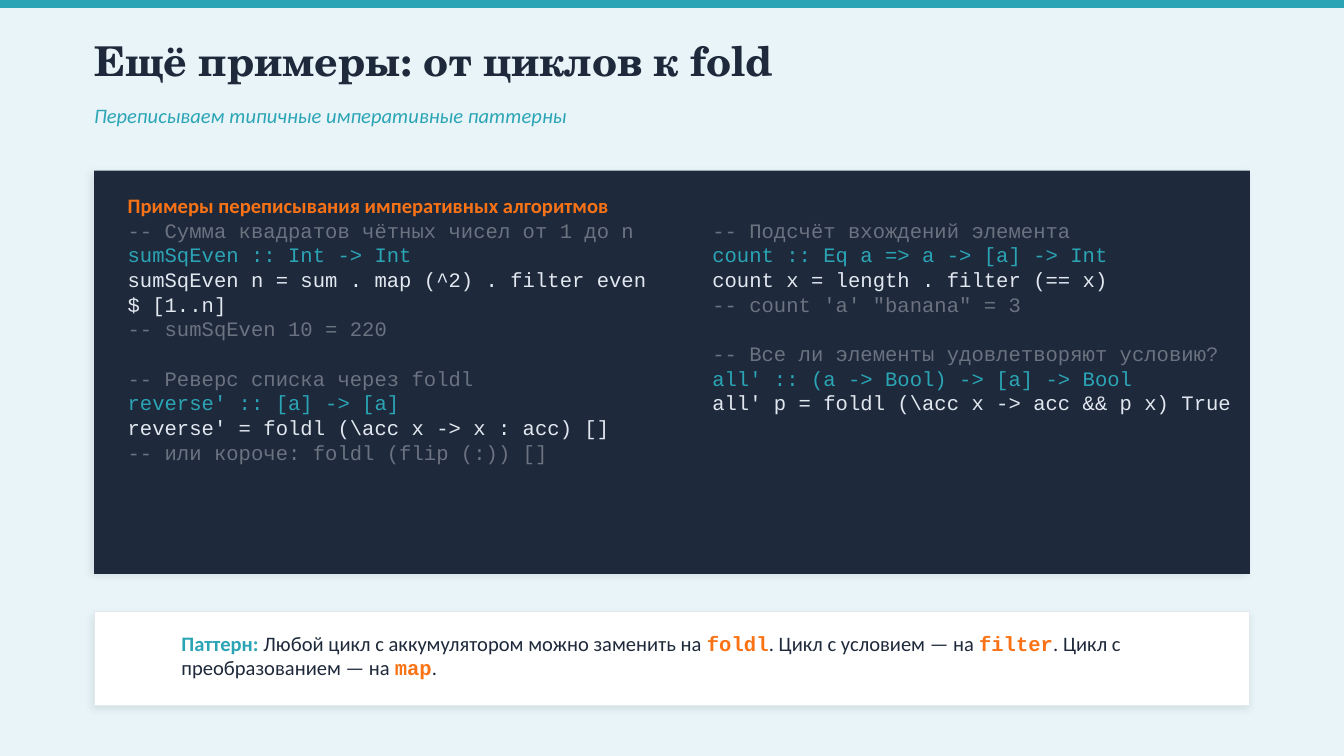
from dataclasses import dataclass

from lxml import etree
from pptx import Presentation
from pptx.dml.color import RGBColor
from pptx.enum import shapes, text
from pptx.oxml import ns
from pptx.util import Inches, Pt

BACKGROUND = RGBColor(0xE8, 0xF4, 0xF8)
TEAL = RGBColor(0x2B, 0xA5, 0xB5)
NAVY = RGBColor(0x1E, 0x29, 0x3B)
ORANGE = RGBColor(0xF9, 0x73, 0x16)
GRAY = RGBColor(0x6B, 0x72, 0x80)
PALE = RGBColor(0xE2, 0xE8, 0xF0)
WHITE = RGBColor(0xFF, 0xFF, 0xFF)

HEADING_FONT, BODY_FONT, CODE_FONT = "TeX Gyre Schola", "Calibri", "Courier New"
SLIDE_WIDTH = Inches(10)
SLIDE_HEIGHT = SLIDE_WIDTH * 9 // 16
MARGIN, CONTENT_WIDTH = 0.7, 8.6
CODE_TOP, CODE_WIDTH, CODE_HEIGHT = 1.62, 3.87, 2.55
BLOCK_GAP = Pt(13.2)


@dataclass(frozen=True)
class Box:
    left: float
    top: float
    width: float
    height: float

    def lengths(self) -> tuple:
        return tuple(Inches(n) for n in (self.left, self.top, self.width, self.height))


@dataclass(frozen=True)
class Style:
    color: RGBColor
    name: str = BODY_FONT
    size: float = 11
    bold: bool = False
    italic: bool = False


@dataclass(frozen=True)
class Span:
    content: str
    style: Style


@dataclass(frozen=True)
class CodeColumn:
    left: float
    blocks: tuple[tuple[str, ...], ...]


LABEL = Style(TEAL, bold=True)
BODY = Style(NAVY)
KEYWORD = Style(ORANGE, CODE_FONT, bold=True)

HEADINGS = (
    (Box(MARGIN, 0.2, CONTENT_WIDTH, 0.5),
     Span("Ещё примеры: от циклов к fold", Style(NAVY, HEADING_FONT, 22, bold=True))),
    (Box(MARGIN, 0.72, CONTENT_WIDTH, 0.28),
     Span("Переписываем типичные императивные паттерны", Style(TEAL, italic=True))),
)
CODE_TITLE = Span("Примеры переписывания императивных алгоритмов", Style(ORANGE, bold=True))
CODE_COLUMNS = (
    CodeColumn(0.95, (
        ("-- Сумма квадратов чётных чисел от 1 до n",
         "sumSqEven :: Int -> Int",
         "sumSqEven n = sum . map (^2) . filter even $ [1..n]",
         "-- sumSqEven 10 = 220"),
        ("-- Реверс списка через foldl",
         "reverse' :: [a] -> [a]",
         "reverse' = foldl (\\acc x -> x : acc) []",
         "-- или короче: foldl (flip (:)) []"),
    )),
    CodeColumn(5.3, (
        ("-- Подсчёт вхождений элемента",
         "count :: Eq a => a -> [a] -> Int",
         "count x = length . filter (== x)",
         "-- count 'a' \"banana\" = 3"),
        ("-- Все ли элементы удовлетворяют условию?",
         "all' :: (a -> Bool) -> [a] -> Bool",
         "all' p = foldl (\\acc x -> acc && p x) True"),
    )),
)
PATTERN = (
    Span("Паттерн: ", LABEL),
    Span("Любой цикл с аккумулятором можно заменить на ", BODY),
    Span("foldl", KEYWORD),
    Span(". Цикл с условием — на ", BODY),
    Span("filter", KEYWORD),
    Span(". Цикл с преобразованием — на ", BODY),
    Span("map", KEYWORD),
    Span(".", BODY),
)


def add_shadow(shape) -> None:
    """Give the shape a faint soft shadow."""
    effects = shape._element.spPr.find(ns.qn("a:effectLst"))
    shadow = etree.SubElement(effects, ns.qn("a:outerShdw"), blurRad=str(Pt(4)),
                              dist=str(Pt(2)), dir=str(135 * 60000),
                              algn="bl", rotWithShape="0")
    color = etree.SubElement(shadow, ns.qn("a:srgbClr"), val="000000")
    etree.SubElement(color, ns.qn("a:alpha"), val="8000")


def add_panel(slide, box: Box, fill: RGBColor, line: RGBColor | None = None,
              shadow: bool = True) -> None:
    shape = slide.shapes.add_shape(shapes.MSO_SHAPE.RECTANGLE, *box.lengths())
    shape.shadow.inherit = False
    shape.fill.solid()
    shape.fill.fore_color.rgb = fill
    if line is None:
        shape.line.fill.background()
    else:
        shape.line.color.rgb = line
        shape.line.width = Pt(0.5)
    if shadow:
        add_shadow(shape)


def add_text_frame(slide, box: Box, anchor=text.MSO_ANCHOR.MIDDLE):
    """Add a wrapping text box without insets and return its frame."""
    frame = slide.shapes.add_textbox(*box.lengths()).text_frame
    settings = {"word_wrap": True, "vertical_anchor": anchor}
    settings |= {f"margin_{side}": 0 for side in ("left", "top", "right", "bottom")}
    for name, value in settings.items():
        setattr(frame, name, value)
    return frame


def add_spans(paragraph, *spans: Span) -> None:
    for span in spans:
        run = paragraph.add_run()
        run.text = span.content
        style = span.style
        settings = {"name": style.name, "size": Pt(style.size),
                    "bold": style.bold, "italic": style.italic}
        for name, value in settings.items():
            setattr(run.font, name, value)
        run.font.color.rgb = style.color


def code_color(line: str) -> RGBColor:
    """Colour comments, type signatures and definitions differently."""
    if line.startswith("--"):
        return GRAY
    return TEAL if " :: " in line else PALE


def add_code(slide, column: CodeColumn) -> None:
    box = Box(column.left, CODE_TOP, CODE_WIDTH, CODE_HEIGHT)
    frame = add_text_frame(slide, box, text.MSO_ANCHOR.TOP)
    paragraph = frame.paragraphs[0]
    for block_index, block in enumerate(column.blocks):
        for line_index, line in enumerate(block):
            if block_index or line_index:
                paragraph = frame.add_paragraph()
            if block_index and not line_index:
                paragraph.space_before = BLOCK_GAP
            add_spans(paragraph, Span(line, Style(code_color(line), CODE_FONT)))


def main() -> None:
    presentation = Presentation()
    presentation.slide_width, presentation.slide_height = SLIDE_WIDTH, SLIDE_HEIGHT
    slide = presentation.slides.add_slide(presentation.slide_layouts[6])
    slide.background.fill.solid()
    slide.background.fill.fore_color.rgb = BACKGROUND

    add_panel(slide, Box(0, 0, 10, 0.06), TEAL, shadow=False)
    for box, heading in HEADINGS:
        add_spans(add_text_frame(slide, box).paragraphs[0], heading)

    add_panel(slide, Box(MARGIN, 1.27, CONTENT_WIDTH, 3), NAVY)
    title_frame = add_text_frame(slide, Box(0.95, 1.38, 8.1, 0.3))
    add_spans(title_frame.paragraphs[0], CODE_TITLE)
    for column in CODE_COLUMNS:
        add_code(slide, column)

    add_panel(slide, Box(MARGIN, 4.55, CONTENT_WIDTH, 0.7), WHITE, PALE)
    pattern_frame = add_text_frame(slide, Box(1.35, 4.6, 7.7, 0.55))
    add_spans(pattern_frame.paragraphs[0], *PATTERN)

    presentation.save("out.pptx")


if __name__ == "__main__":
    main()
